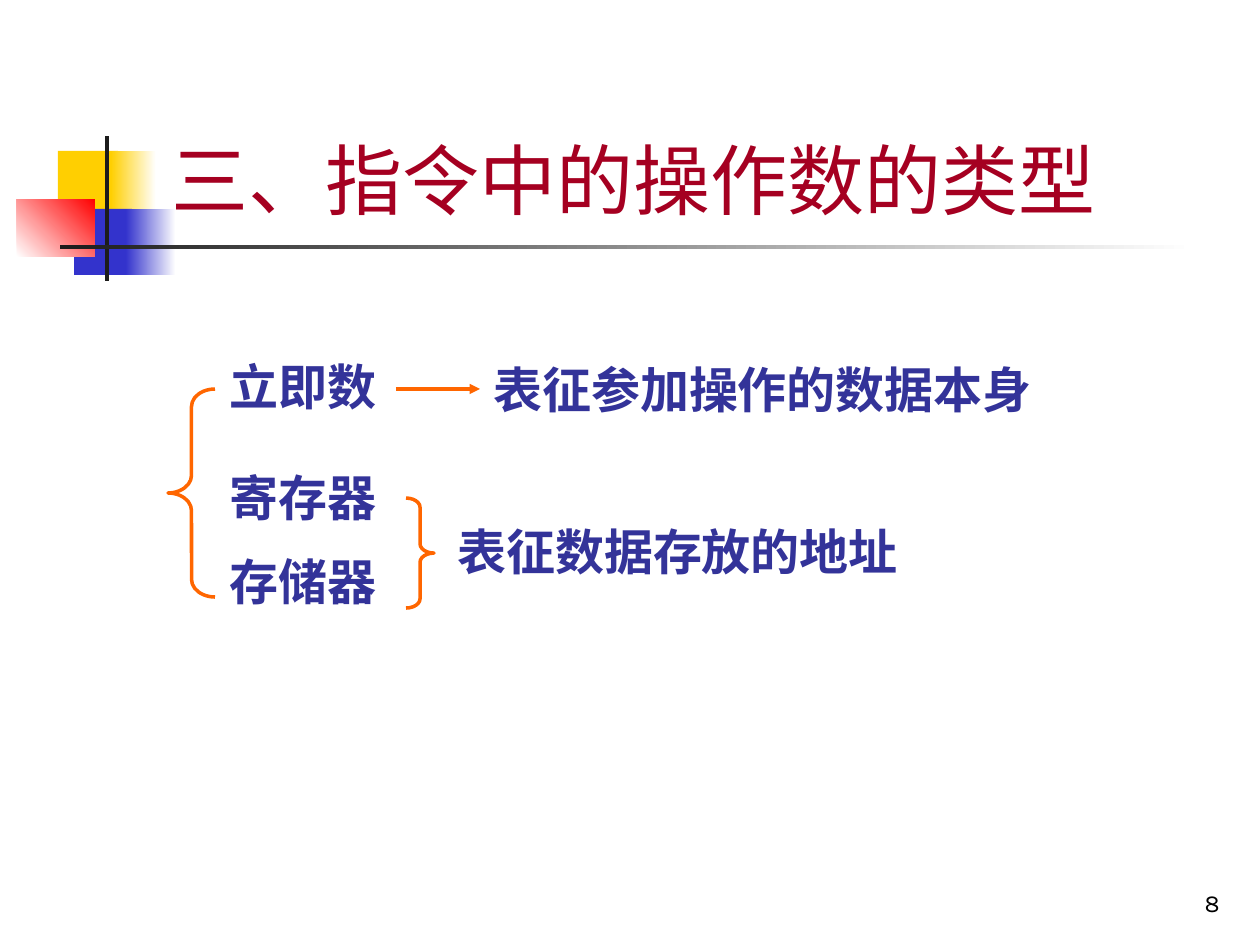
from lxml import etree
from pptx import Presentation
from pptx import util as u
from pptx.dml.color import RGBColor
from pptx.enum import shapes, text
from pptx.oxml.ns import qn

PX = 914400 / 126
FONT = "Karla"
WHITE = RGBColor(0xFF, 0xFF, 0xFF)
BLACK = RGBColor(0, 0, 0)
YELLOW = RGBColor(0xFF, 0xCF, 0x01)
BLUE = RGBColor(0x33, 0x33, 0xCC)
RED = RGBColor(0xFF, 0, 0)
DARK = RGBColor(0x1C, 0x1C, 0x1C)
CRIMSON = RGBColor(0xA5, 0, 0x21)
NAVY = RGBColor(0x33, 0x33, 0x99)
ORANGE = RGBColor(0xFF, 0x66, 0)

TITLE = "三、指令中的操作数的类型"
PAGE_NUMBER = "8"
# Operand kind, space before, space after (points)
OPERANDS = [("立即数", 0, 12.6), ("寄存器", 14, 5.6), ("存储器", 5.6, 12.6)]
# Meaning, box in px
MEANINGS = [
    ("表征参加操作的数据本身", (481, 353, 596, 72)),
    ("表征数据存放的地址", (445, 515, 595, 72)),
]
# Box in px, start colour, end colour (None for a solid fill), angle
ORNAMENTS = [
    ((58, 151, 60, 66), YELLOW, None, 0),
    ((111, 151, 45, 66), YELLOW, WHITE, 0),
    ((74, 209, 58, 66), BLUE, None, 0),
    ((126, 209, 50, 66), BLUE, WHITE, 0),
    ((17, 199, 78, 58), WHITE, RED, 45),
    ((105, 136, 4, 145), DARK, None, 0),
    ((60, 245, 1134, 4), DARK, WHITE, 0),
]
# Box in px, curl, rotation
BRACES = [((168, 389, 47, 208), 0.375, 0), ((406, 498, 28, 110), 0.33, 180)]
ARROW = (396, 389, 480, 389)


def emu(values):
    return [u.Emu(round(v * PX)) for v in values]


def write(paragraph, words, size, color, bold=False):
    run = paragraph.add_run()
    run.text = words
    run.font.name = FONT
    run.font.size = u.Pt(size)
    run.font.bold = bold
    run.font.color.rgb = color


def add_frame(slide, box):
    frame = slide.shapes.add_textbox(*emu(box)).text_frame
    frame.word_wrap = True
    return frame


def add_ornament(slide, box, start, end, angle):
    block = slide.shapes.add_shape(shapes.MSO_SHAPE.RECTANGLE, *emu(box))
    block.shadow.inherit = False
    block.line.fill.background()
    if end is None:
        block.fill.solid()
        block.fill.fore_color.rgb = start
        return
    block.fill.gradient()
    block.fill.gradient_angle = angle
    for stop, color, position in zip(block.fill.gradient_stops, (start, end), (0, 1)):
        stop.color.rgb = color
        stop.position = position


def add_brace(slide, box, curl, rotation):
    brace = slide.shapes.add_shape(shapes.MSO_SHAPE.LEFT_BRACE, *emu(box))
    brace.shadow.inherit = False
    brace.fill.background()
    brace.line.color.rgb = ORANGE
    brace.line.width = u.Pt(2)
    brace.adjustments[0] = curl
    brace.rotation = rotation


def add_arrow(slide, ends):
    arrow = slide.shapes.add_connector(shapes.MSO_CONNECTOR.STRAIGHT, *emu(ends))
    arrow.line.color.rgb = ORANGE
    arrow.line.width = u.Pt(1.75)
    etree.SubElement(arrow.line._get_or_add_ln(), qn("a:tailEnd"), type="triangle")
    etree.SubElement(arrow._element.spPr, qn("a:effectLst"))


def main():
    prs = Presentation()
    prs.slide_width, prs.slide_height = u.Inches(10), u.Inches(7.5)
    slide = prs.slides.add_slide(prs.slide_layouts[5])

    # Ornament beside the title
    for ornament in ORNAMENTS:
        add_ornament(slide, *ornament)

    # Title
    title = slide.shapes.title
    title.left, title.top, title.width, title.height = emu((159, 29, 1074, 202))
    heading = title.text_frame
    heading.auto_size = text.MSO_AUTO_SIZE.NONE
    heading.vertical_anchor = text.MSO_ANCHOR.BOTTOM
    heading.paragraphs[0].alignment = text.PP_ALIGN.LEFT
    write(heading.paragraphs[0], TITLE, 44, CRIMSON)

    # Operand kinds
    operands = add_frame(slide, (217, 344, 486, 363))
    for i, (kind, before, after) in enumerate(OPERANDS):
        line = operands.add_paragraph() if i else operands.paragraphs[0]
        line.line_spacing = 1.1
        line.space_before, line.space_after = u.Pt(before), u.Pt(after)
        write(line, kind, 28, NAVY, bold=True)

    # Braces and arrow
    for brace in BRACES:
        add_brace(slide, *brace)
    add_arrow(slide, ARROW)

    # Meanings
    for meaning, box in MEANINGS:
        write(add_frame(slide, box).paragraphs[0], meaning, 28, NAVY, bold=True)

    # Page number
    footer = add_frame(slide, (970, 861, 262, 63))
    footer.vertical_anchor = text.MSO_ANCHOR.BOTTOM
    footer.paragraphs[0].alignment = text.PP_ALIGN.RIGHT
    write(footer.paragraphs[0], PAGE_NUMBER, 14, BLACK)

    prs.save("out.pptx")


if __name__ == "__main__":
    main()
